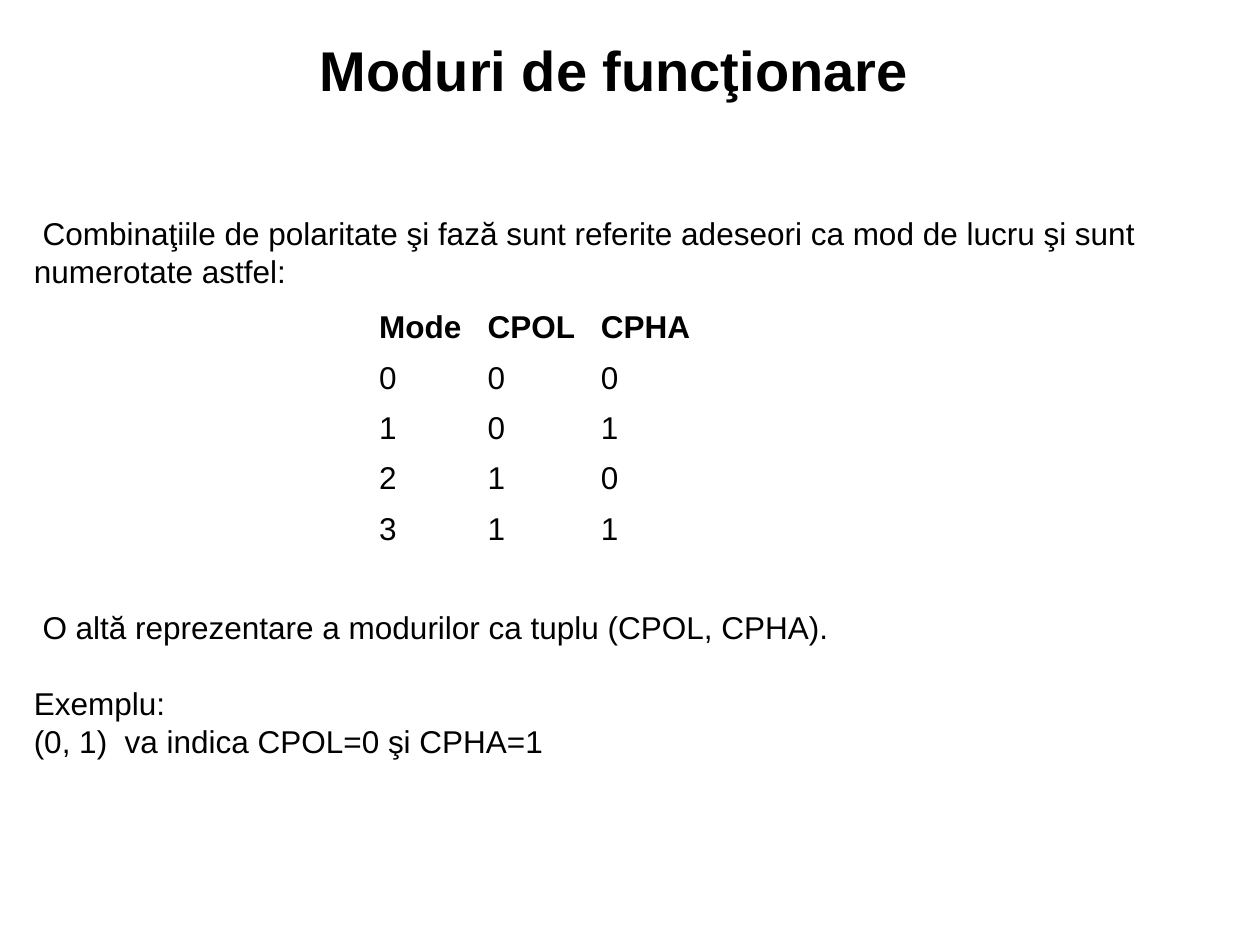
from pptx import Presentation
from pptx.dml.color import RGBColor
from pptx.enum import text
from pptx.util import Inches, Pt

BLACK = "000000"
BODY = {"name": "Arial", "size": Pt(18), "bold": False}
HEADER = {**BODY, "bold": True}
TITLE = {**HEADER, "size": Pt(32)}

MODES = [
    ("Mode", "CPOL", "CPHA"),
    ("0", "0", "0"),
    ("1", "0", "1"),
    ("2", "1", "0"),
    ("3", "1", "1"),
]
COLUMN_WIDTHS = (0.86, 0.9, 0.91)
ROW_HEIGHT = 0.4
CELL_FORMAT = {
    "vertical_anchor": text.MSO_ANCHOR.MIDDLE,
    "margin_right": Inches(0.05),  # keeps each header on one line
}


def set_color(target, value):
    target.rgb = RGBColor.from_string(value)


def write(para, words, style):
    span = para.add_run()
    span.text = words
    for name, value in style.items():
        setattr(span.font, name, value)
    set_color(span.font.color, BLACK)


def add_text(page, place, lines, style, **frame_format):
    """Add a text box with one paragraph per line and return its paragraphs."""
    box = page.shapes.add_textbox(*map(Inches, place))
    frame = box.text_frame
    frame.word_wrap = True
    for name, value in frame_format.items():
        setattr(frame, name, value)
    for index, line in enumerate(lines):
        para = frame.add_paragraph() if index else frame.paragraphs[0]
        write(para, line, style)
    return frame.paragraphs


def add_mode_table(page, left, top):
    width, height = sum(COLUMN_WIDTHS), ROW_HEIGHT * len(MODES)
    place = map(Inches, (left, top, width, height))
    table = page.shapes.add_table(len(MODES), len(COLUMN_WIDTHS), *place).table
    table.first_row = table.horz_banding = False
    for column, column_width in zip(table.columns, COLUMN_WIDTHS):
        column.width = Inches(column_width)
    for row_index, values in enumerate(MODES):
        for column_index, value in enumerate(values):
            cell = table.cell(row_index, column_index)
            cell.fill.background()
            for name, setting in CELL_FORMAT.items():
                setattr(cell, name, setting)
            write(cell.text_frame.paragraphs[0], value, BODY if row_index else HEADER)


def main():
    deck = Presentation()
    deck.slide_width, deck.slide_height = Inches(10), Inches(7.5)
    page = deck.slides.add_slide(deck.slide_layouts[6])

    # Introduction
    add_text(page, (0.17, 1.65, 9.5, 0.7),
             [" Combinaţiile de polaritate şi fază sunt referite adeseori ca mod de lucru"
              " şi sunt numerotate astfel:"],
             BODY, auto_size=text.MSO_AUTO_SIZE.SHAPE_TO_FIT_TEXT)

    # Title
    title = add_text(page, (0, 0, 9.75, 1.1), ["Moduri de funcţionare"], TITLE,
                     vertical_anchor=text.MSO_ANCHOR.MIDDLE)
    title[0].alignment = text.PP_ALIGN.CENTER

    # Table of modes
    add_mode_table(page, 2.91, 2.4)

    # Tuple notation, with the example set apart by one line
    notes = add_text(page, (0.17, 4.78, 9.5, 1.3),
                     [" O altă reprezentare a modurilor ca tuplu (CPOL, CPHA).",
                      "Exemplu:",
                      "(0, 1)  va indica CPOL=0 şi CPHA=1"],
                     BODY, auto_size=text.MSO_AUTO_SIZE.SHAPE_TO_FIT_TEXT)
    notes[1].space_before = Pt(21.5)

    deck.save("out.pptx")


if __name__ == "__main__":
    main()
